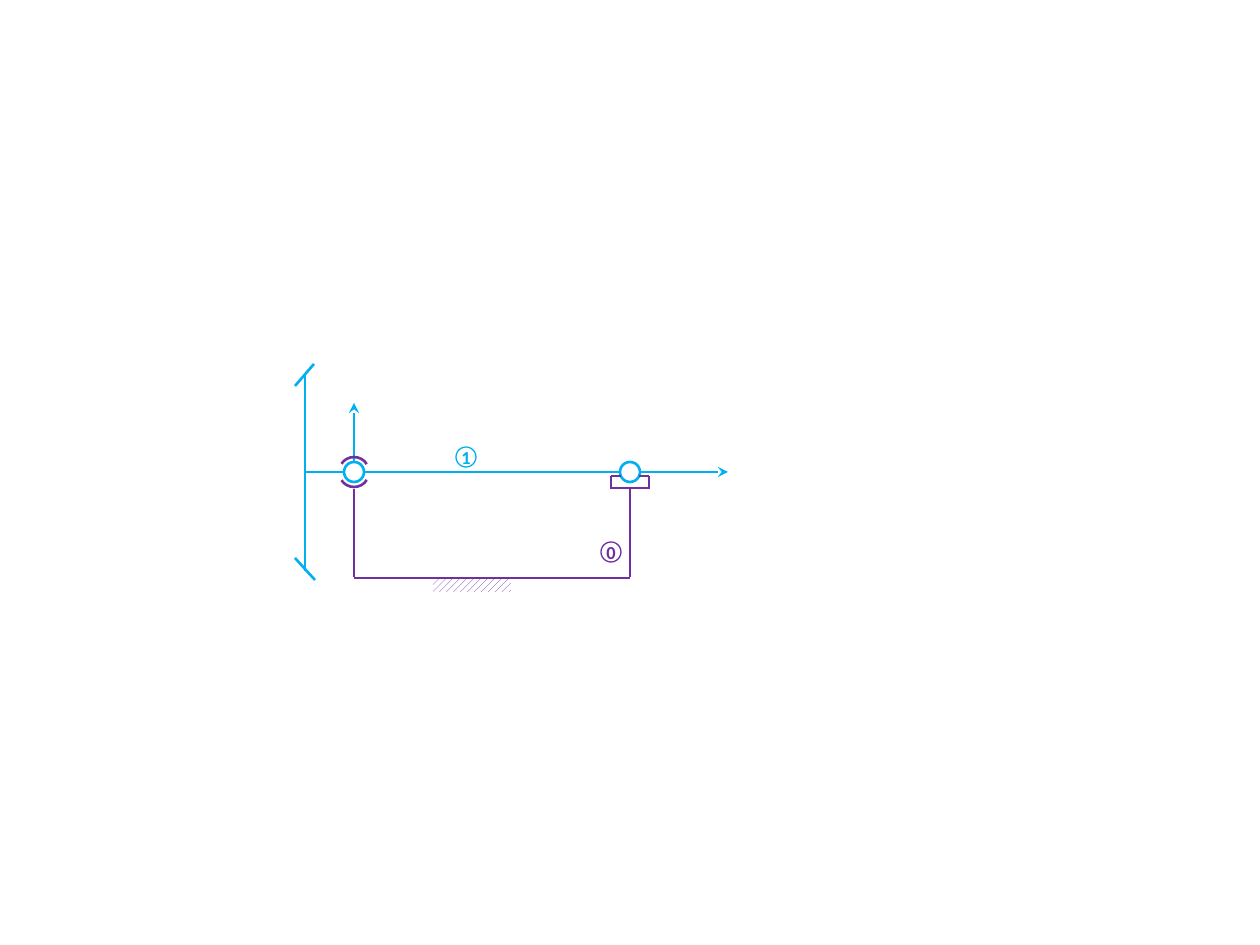
from dataclasses import dataclass

from lxml.etree import SubElement
from pptx import Presentation
from pptx.dml.color import RGBColor
from pptx.enum.dml import MSO_PATTERN
from pptx.enum.shapes import MSO_CONNECTOR, MSO_SHAPE
from pptx.enum.text import MSO_ANCHOR, PP_ALIGN
from pptx.oxml.ns import qn
from pptx.util import Emu, Pt


@dataclass(frozen=True)
class Theme:
    rotor: RGBColor = RGBColor(0x00, 0xB0, 0xF0)
    frame: RGBColor = RGBColor(0x70, 0x30, 0xA0)
    paper: RGBColor = RGBColor(0xFF, 0xFF, 0xFF)
    font: str = "Calibri"
    label: float = 10.5
    thick: float = 1.5
    thin: float = 0.75


THEME = Theme()
PX_PER_INCH = 126
LEFT, RIGHT, AXIS, FLOOR = 354, 630, 472, 578  # joint centres, shaft and base
WHEEL = 305
JOINT_R, CUP_R = 10, 15


def px(n):
    return Emu(round(n * 914400 / PX_PER_INCH))


def add_line(s, points, color, width=THEME.thick, arrow=False):
    c = s.shapes.add_connector(MSO_CONNECTOR.STRAIGHT, *map(px, points))
    c.line.color.rgb = color
    c.line.width = Pt(width)
    if arrow:
        SubElement(c.line._get_or_add_ln(), qn("a:tailEnd"), type="stealth")
    SubElement(c._element.spPr, qn("a:effectLst"))


def add_shape(s, kind, box, color=None, width=THEME.thick, fill=None):
    sp = s.shapes.add_shape(kind, *map(px, box))
    sp.shadow.inherit = False
    if fill is None:
        sp.fill.background()
    else:
        sp.fill.solid()
        sp.fill.fore_color.rgb = fill
    if color is None:
        sp.line.fill.background()
    else:
        sp.line.color.rgb = color
        sp.line.width = Pt(width)
    return sp


def add_circle(s, cx, cy, color, width=THEME.thick, fill=None):
    box = (cx - JOINT_R, cy - JOINT_R, 2 * JOINT_R, 2 * JOINT_R)
    return add_shape(s, MSO_SHAPE.OVAL, box, color, width, fill)


def add_label(s, text, cx, cy, color):
    tf = add_circle(s, cx, cy, color, THEME.thin).text_frame
    tf.margin_left = tf.margin_right = tf.margin_top = tf.margin_bottom = 0
    tf.word_wrap = False
    tf.vertical_anchor = MSO_ANCHOR.MIDDLE
    p = tf.paragraphs[0]
    p.alignment = PP_ALIGN.CENTER
    r = p.add_run()
    r.text = text
    r.font.name = THEME.font
    r.font.size = Pt(THEME.label)
    r.font.bold = True
    r.font.color.rgb = color


def add_cup(s, flipped):
    box = (LEFT - CUP_R, AXIS - CUP_R, 2 * CUP_R, 2 * CUP_R)
    sp = add_shape(s, MSO_SHAPE.ARC, box, THEME.frame)
    sp.adjustments[0], sp.adjustments[1] = 19.2, 87.95
    if flipped:
        sp._element.spPr.xfrm.set("flipV", "1")


def add_ground(s):
    sp = add_shape(s, MSO_SHAPE.RECTANGLE, (433, FLOOR, 78, 14))
    sp.fill.patterned()
    sp.fill.pattern = MSO_PATTERN.WIDE_UPWARD_DIAGONAL
    sp.fill.fore_color.rgb = THEME.frame
    sp.fill.back_color.rgb = THEME.paper


def main():
    prs = Presentation()
    prs.slide_width, prs.slide_height = px(1260), px(945)
    s = prs.slides.add_slide(prs.slide_layouts[6])

    add_ground(s)

    # Coordinate axes
    add_line(s, (LEFT, AXIS, LEFT, 403), THEME.rotor, THEME.thin, arrow=True)
    add_line(s, (659, AXIS, 728, AXIS), THEME.rotor, THEME.thin, arrow=True)

    # Shaft, interrupted by the two joints
    for x1, x2 in ((WHEEL, LEFT - JOINT_R),
                   (LEFT + JOINT_R, RIGHT - JOINT_R),
                   (RIGHT + JOINT_R, 659)):
        add_line(s, (x1, AXIS, x2, AXIS), THEME.rotor)

    # Ball joint in its two cups
    add_circle(s, LEFT, AXIS, THEME.rotor, fill=THEME.paper)
    for flipped in (False, True):
        add_cup(s, flipped)

    # Ball in an open-topped guide
    add_circle(s, RIGHT, AXIS, THEME.rotor)
    add_line(s, (RIGHT - 20, 488, RIGHT + 20, 488), THEME.frame)
    for side in (-1, 1):
        wall, lip = RIGHT + 19 * side, RIGHT + 9 * side
        add_line(s, (wall, 488, wall, 476), THEME.frame)
        add_line(s, (wall, 476, lip, 476), THEME.frame)

    # Wheel with slanted rims
    for points in ((WHEEL, 571, WHEEL, 374),
                   (314, 364, 295, 386),
                   (315, 580, 295, 558)):
        add_line(s, points, THEME.rotor)

    # Fixed frame
    for x in (LEFT, RIGHT):
        add_line(s, (x, 489, x, 577), THEME.frame)
    add_line(s, (RIGHT, FLOOR, LEFT, FLOOR), THEME.frame)

    # Link numbers
    add_label(s, "1", 466, 457, THEME.rotor)
    add_label(s, "0", 611, 552, THEME.frame)

    prs.save("out.pptx")


if __name__ == "__main__":
    main()
